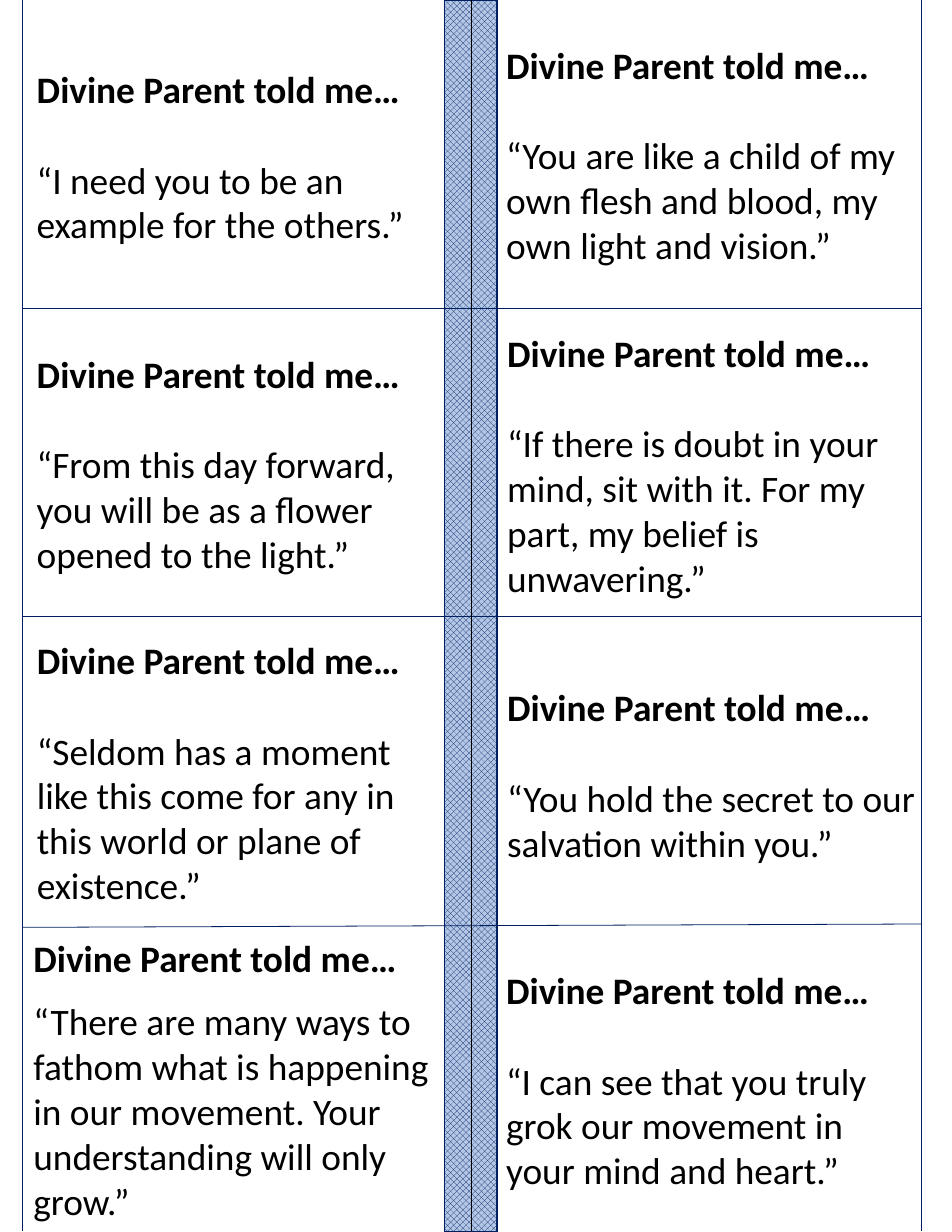
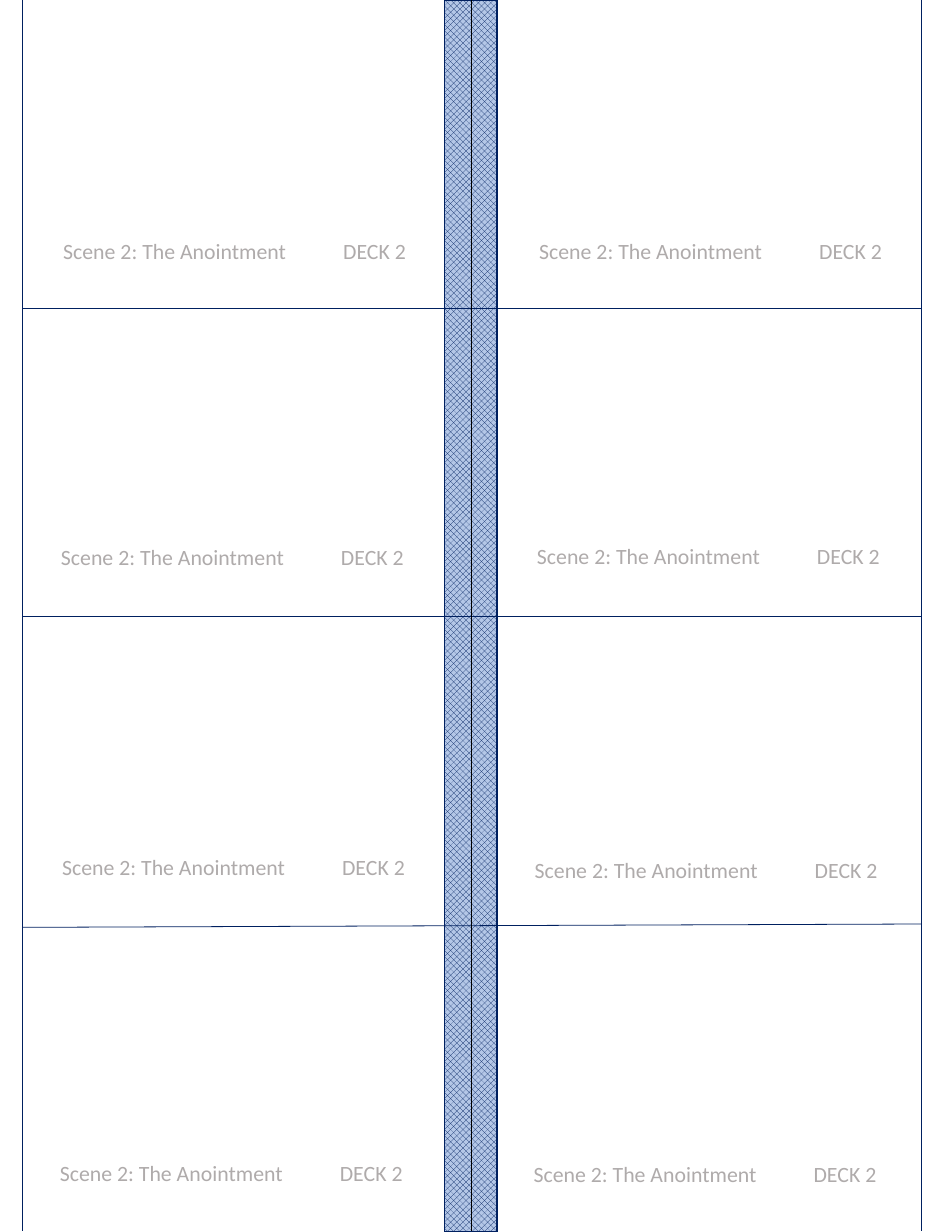
from dataclasses import dataclass

from lxml.etree import SubElement
from pptx import Presentation
from pptx.dml.color import RGBColor
from pptx.enum.dml import MSO_PATTERN
from pptx.enum.shapes import MSO_CONNECTOR, MSO_SHAPE
from pptx.enum.text import MSO_ANCHOR, PP_ALIGN
from pptx.oxml.ns import qn
from pptx.util import Inches, Pt


@dataclass(frozen=True)
class Theme:
    font: str = "Calibri"
    navy: RGBColor = RGBColor(0x00, 0x20, 0x60)
    pale_blue: RGBColor = RGBColor(0xB4, 0xC7, 0xE7)
    black: RGBColor = RGBColor(0, 0, 0)
    grey: RGBColor = RGBColor(0xAF, 0xAB, 0xAB)
    card_size: float = 24
    footer_size: float = 14
    thin: float = 0.5
    gutter_line: float = 1


THEME = Theme()
PAGE_W, PAGE_H = 8.5, 11
LEFT, CENTRE, RIGHT, BOTTOM = 0.2, 4.21, 8.23, 10.99
# Height of each cut line at the left and right edges
CUTS = [(2.75, 2.75), (5.5, 5.5), (8.28, 8.25)]

LEAD = "Divine Parent told me…"
WIDE_GAP, TIGHT_GAP = 29.3, 12.2
# Box (left, top, width, height), gap under the lead, quote
CARDS = [
    ((0.23, 0.07, 3.76, 2.65), WIDE_GAP,
     "“I need you to be an example for the others.”"),
    ((4.42, 0.02, 3.84, 2.72), WIDE_GAP,
     "“You are like a child of my own flesh and blood, my own light and vision.”"),
    ((0.23, 2.78, 3.77, 2.71), WIDE_GAP,
     "“From this day forward, you will be as a flower opened to the light.”"),
    ((4.43, 2.81, 3.84, 2.68), WIDE_GAP,
     "“If there is doubt in your mind, sit with it. For my part, my belief is unwavering.”"),
    ((0.23, 5.56, 3.71, 2.67), WIDE_GAP,
     "“Seldom has a moment like this come for any in this world or plane of existence.”"),
    ((4.43, 5.56, 3.84, 2.71), WIDE_GAP,
     "“You hold the secret to our salvation within you.”"),
    ((0.2, 8.29, 3.8, 2.68), TIGHT_GAP,
     "“There are many ways to fathom what is happening in our movement. "
     "Your understanding will only grow.”"),
    ((4.42, 8.33, 3.88, 2.62), WIDE_GAP,
     "“I can see that you truly grok our movement in your mind and heart.”"),
]

BACK_LABEL = "Scene 2: The Anointment\tDECK 2"
BACK_W, BACK_H = 3.67, 2.65
DECK_TAB, BACK_BOTTOM_INSET = 2.5, 0.36
BACK_CORNERS = [
    (0.26, 0.07), (4.51, 0.07),
    (0.24, 2.8), (4.49, 2.79),
    (0.25, 5.57), (4.47, 5.59),
    (0.23, 8.3), (4.46, 8.31),
]


def add_line(slide, x1, y1, x2, y2, color=THEME.navy):
    line = slide.shapes.add_connector(
        MSO_CONNECTOR.STRAIGHT, Inches(x1), Inches(y1), Inches(x2), Inches(y2))
    line.line.color.rgb = color
    line.line.width = Pt(THEME.thin)
    SubElement(line._element.spPr, qn("a:effectLst"))


def add_text_box(slide, box, anchor):
    tf = slide.shapes.add_textbox(*map(Inches, box)).text_frame
    tf.word_wrap = True
    tf.vertical_anchor = anchor
    return tf


def style_text(p, size, color, bold=False):
    for r in p.runs:
        r.font.name = THEME.font
        r.font.size = Pt(size)
        r.font.bold = bold
        r.font.color.rgb = color


def add_cutting_guide(slide):
    """Draw the patterned centre strip and the lines between the cards."""
    strip = slide.shapes.add_shape(
        MSO_SHAPE.RECTANGLE, Inches(3.97), 0, Inches(0.47), Inches(PAGE_H))
    strip.shadow.inherit = False
    strip.fill.patterned()
    strip.fill.pattern = MSO_PATTERN.LARGE_CHECKER_BOARD
    strip.fill.fore_color.rgb = THEME.navy
    strip.fill.back_color.rgb = THEME.pale_blue
    strip.line.color.rgb = THEME.navy
    strip.line.width = Pt(THEME.gutter_line)

    for left_y, right_y in CUTS:
        add_line(slide, LEFT, left_y, RIGHT, right_y)
    for x in (LEFT, RIGHT):
        add_line(slide, x, 0, x, BOTTOM)
    add_line(slide, CENTRE, 0, CENTRE, BOTTOM, THEME.black)


def add_card_front(slide, box, gap, quote):
    tf = add_text_box(slide, box, MSO_ANCHOR.MIDDLE)
    tf.text = f"{LEAD}\n{quote}"
    lead, body = tf.paragraphs
    lead.space_after = Pt(gap)
    style_text(lead, THEME.card_size, THEME.black, bold=True)
    style_text(body, THEME.card_size, THEME.black)


def add_card_back(slide, box):
    tf = add_text_box(slide, box, MSO_ANCHOR.BOTTOM)
    tf.margin_bottom = Inches(BACK_BOTTOM_INSET)
    tf.text = BACK_LABEL
    p = tf.paragraphs[0]
    p.alignment = PP_ALIGN.CENTER
    tabs = SubElement(p._p.get_or_add_pPr(), qn("a:tabLst"))
    SubElement(tabs, qn("a:tab"), pos=str(Inches(DECK_TAB)), algn="l")
    style_text(p, THEME.footer_size, THEME.grey)


def add_sheet(prs):
    slide = prs.slides.add_slide(prs.slide_layouts.get_by_name("Blank"))
    add_cutting_guide(slide)
    return slide


def main():
    prs = Presentation()
    prs.slide_width, prs.slide_height = Inches(PAGE_W), Inches(PAGE_H)

    fronts = add_sheet(prs)
    for box, gap, quote in CARDS:
        add_card_front(fronts, box, gap, quote)

    backs = add_sheet(prs)
    for left, top in BACK_CORNERS:
        add_card_back(backs, (left, top, BACK_W, BACK_H))

    prs.save("out.pptx")


if __name__ == "__main__":
    main()
